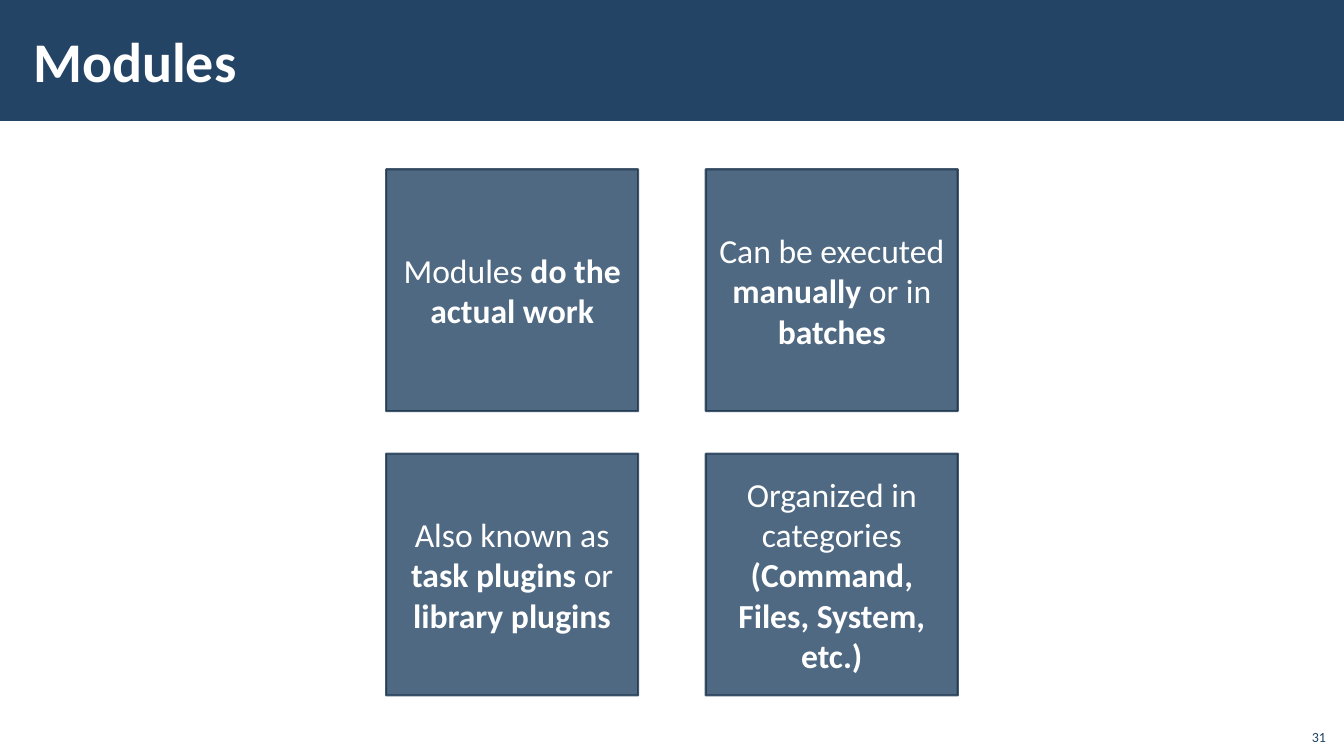
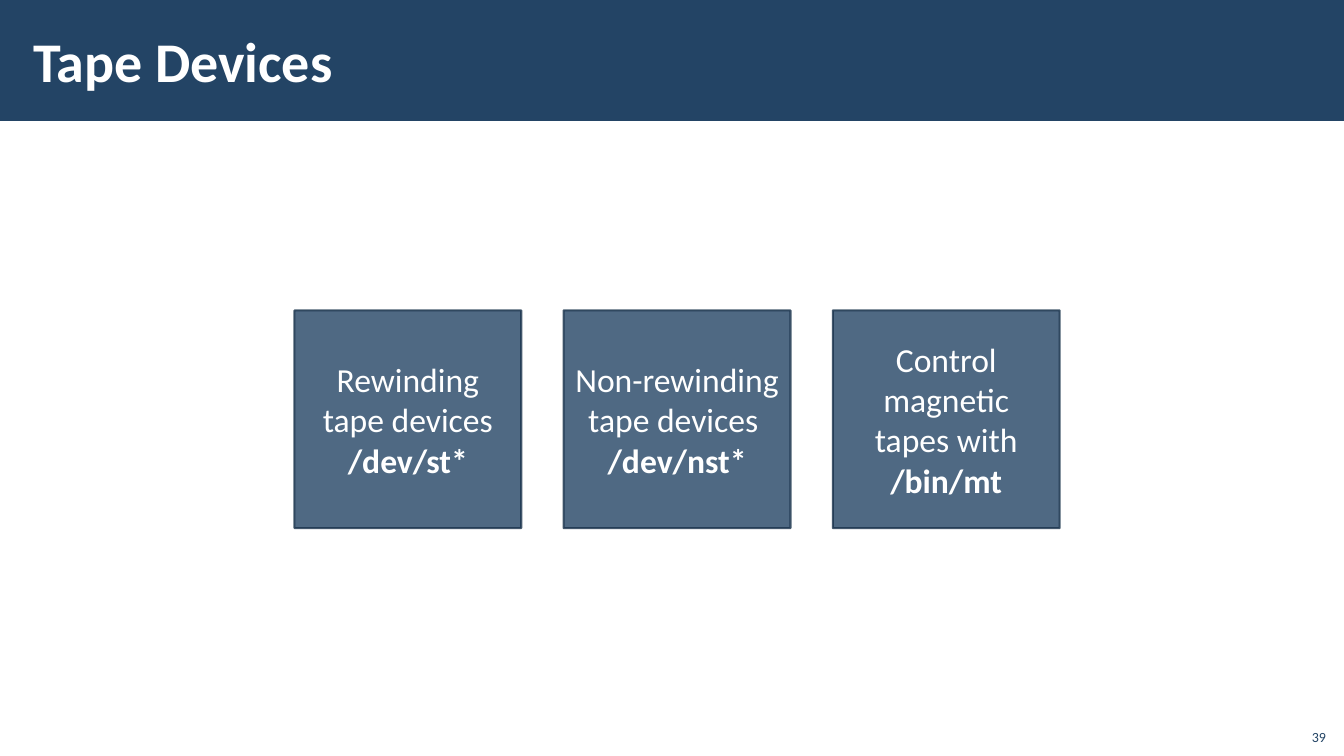
from lxml.etree import SubElement
from pptx import Presentation
from pptx.dml.color import RGBColor
from pptx.enum.shapes import MSO_SHAPE
from pptx.enum.text import MSO_ANCHOR, PP_ALIGN
from pptx.oxml.ns import qn
from pptx.util import Inches, Pt

COLORS = {"navy": "234465", "outline": "1A334C", "white": "FFFFFF"}
FONT = "Calibri"
SLIDE_WIDTH, SLIDE_HEIGHT = 13.33, 7.5
BAND_HEIGHT = 1.2
CARD_OPACITY = 80


def color(name):
    return RGBColor.from_string(COLORS[name])


def set_opacity(parent, percent):
    """Give the solid colour inside a fill or line element an opacity."""
    for element in parent.findall(f"{qn('a:solidFill')}/{qn('a:srgbClr')}"):
        SubElement(element, qn("a:alpha")).set("val", str(percent * 1000))


class Deck:
    """Holds the shared style and the slide being built."""

    def __init__(self):
        self.presentation = Presentation()
        self.presentation.slide_width = Inches(SLIDE_WIDTH)
        self.presentation.slide_height = Inches(SLIDE_HEIGHT)
        self.slide = None

    def add_slide(self, title, number):
        blank_layout = self.presentation.slide_layouts[6]
        self.slide = self.presentation.slides.add_slide(blank_layout)
        self.rectangle(0, 0, SLIDE_WIDTH, BAND_HEIGHT)
        self.title(title)
        self.slide_number(number)

    def rectangle(self, left, top, width, height):
        shape = self.slide.shapes.add_shape(
            MSO_SHAPE.RECTANGLE, Inches(left), Inches(top), Inches(width), Inches(height))
        shape.shadow.inherit = False
        shape.fill.solid()
        shape.fill.fore_color.rgb = color("navy")
        shape.line.fill.background()
        return shape

    def text_box(self, left, top, width, height):
        return self.slide.shapes.add_textbox(
            Inches(left), Inches(top), Inches(width), Inches(height))

    def fill_text(self, shape, paragraphs, size, color_name, alignment, anchor):
        """Fill a shape with paragraphs, each a list of (text, bold) runs."""
        text_frame = shape.text_frame
        text_frame.word_wrap = True
        text_frame.vertical_anchor = anchor
        for index, runs in enumerate(paragraphs):
            paragraph = text_frame.add_paragraph() if index else text_frame.paragraphs[0]
            paragraph.alignment = alignment
            for text, bold in runs:
                run = paragraph.add_run()
                run.text = text
                run.font.name = FONT
                run.font.size = Pt(size)
                run.font.bold = bold
                run.font.color.rgb = color(color_name)

    def title(self, text):
        box = self.text_box(0.21, 0.11, 10.63, 0.97)
        text_frame = box.text_frame
        text_frame.margin_left = text_frame.margin_right = Inches(0.12)
        text_frame.margin_top = text_frame.margin_bottom = Inches(0.04)
        self.fill_text(box, [[(text, True)]], 40, "white",
                       PP_ALIGN.LEFT, MSO_ANCHOR.MIDDLE)

    def slide_number(self, number):
        box = self.text_box(12.85, 7.12, 0.4, 0.32)
        self.fill_text(box, [[(str(number), False)]], 10, "navy",
                       PP_ALIGN.RIGHT, MSO_ANCHOR.BOTTOM)

    def card(self, left, top, width, height, paragraphs):
        shape = self.rectangle(left, top, width, height)
        shape.line.color.rgb = color("outline")
        shape.line.width = Pt(1.5)
        properties = shape.element.spPr
        set_opacity(properties, CARD_OPACITY)
        set_opacity(properties.find(qn("a:ln")), CARD_OPACITY)
        self.fill_text(shape, paragraphs, 24, "white",
                       PP_ALIGN.CENTER, MSO_ANCHOR.MIDDLE)

    def card_grid(self, cards, columns, origin, size, pitch):
        """Place cards row by row; pitch is the step between card corners."""
        for index, paragraphs in enumerate(cards):
            row, column = divmod(index, columns)
            self.card(origin[0] + column * pitch[0], origin[1] + row * pitch[1],
                      *size, paragraphs)


MODULE_CARDS = [
    [[("Modules ", False), ("do the actual work", True)]],
    [[("Can be executed ", False), ("manually ", True), ("or in ", False),
      ("batches", True)]],
    [[("Also known as ", False), ("task plugins ", True), ("or ", False),
      ("library plugins", True)]],
    [[("Organized in categories ", False), ("(Command, Files, System, etc.)", True)]],
]

TAPE_CARDS = [
    [[("Rewinding tape devices", False)], [("/dev/st*", True)]],
    [[("Non-rewinding tape devices ", False)], [("/dev/nst*", True)]],
    [[("Control magnetic tapes with ", False), ("/bin/mt", True)]],
]


def main():
    deck = Deck()
    deck.add_slide("Modules", 31)
    deck.card_grid(MODULE_CARDS, columns=2, origin=(3.83, 1.68),
                   size=(2.5, 2.4), pitch=(3.17, 2.82))
    deck.add_slide("Tape Devices", 39)
    deck.card_grid(TAPE_CARDS, columns=3, origin=(2.92, 3.08),
                   size=(2.25, 2.16), pitch=(2.67, 0))
    deck.presentation.save("out.pptx")


if __name__ == "__main__":
    main()
